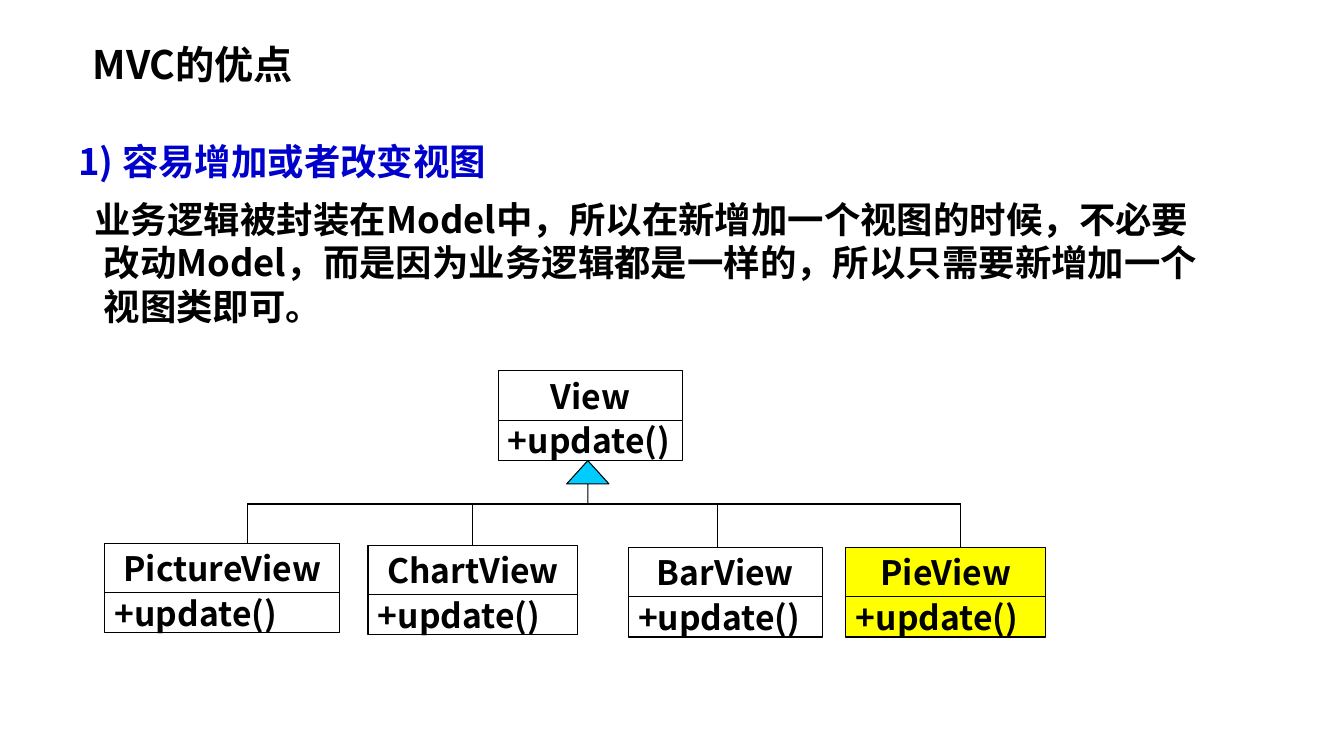
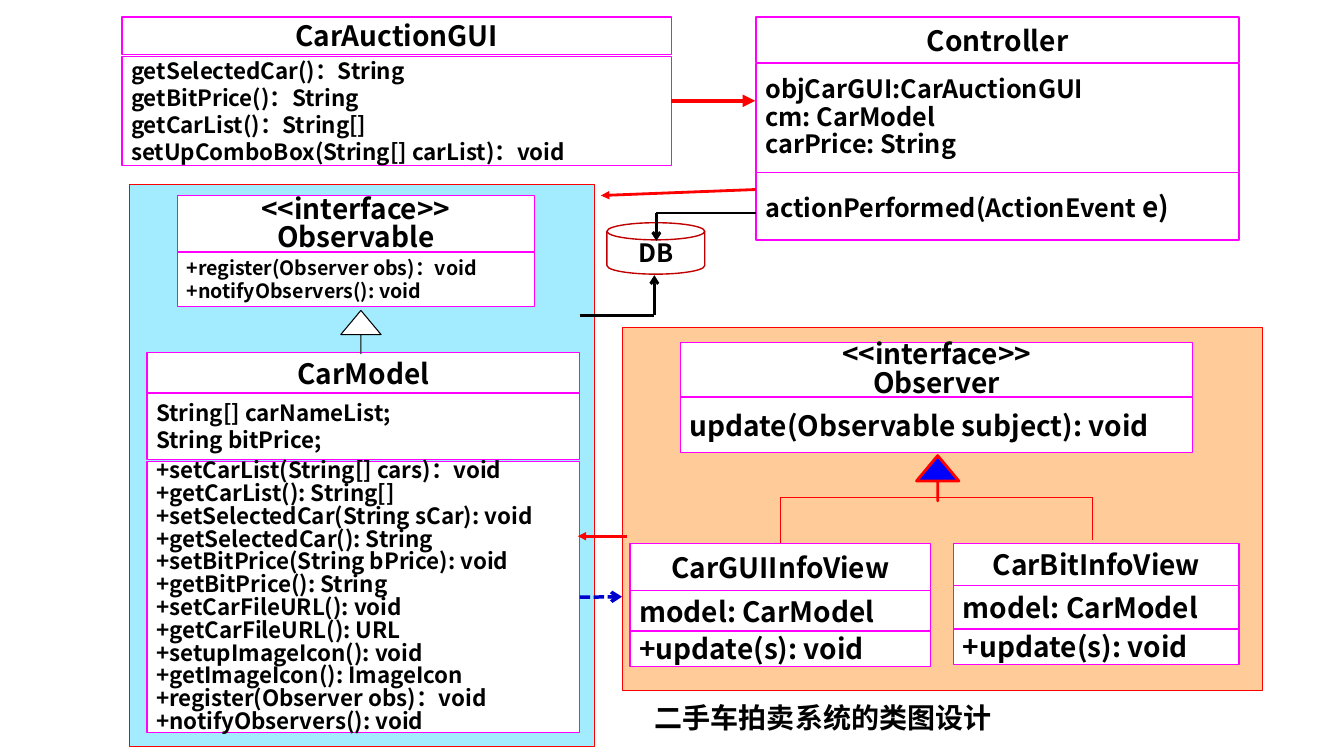
from pptx import Presentation
from pptx.dml.color import RGBColor
from pptx.enum.dml import MSO_LINE
from pptx.enum.shapes import MSO_CONNECTOR, MSO_SHAPE
from pptx.enum.text import MSO_ANCHOR as ANCHOR, MSO_AUTO_SIZE, PP_ALIGN as ALIGN
from pptx.oxml.ns import qn
from pptx.util import Inches, Pt
from lxml.etree import SubElement

BLACK = RGBColor(0x00, 0x00, 0x00)
WHITE = RGBColor(0xFF, 0xFF, 0xFF)
HEADING = RGBColor(0x00, 0x00, 0xCC)
CYAN = RGBColor(0x00, 0xCC, 0xFF)
YELLOW = RGBColor(0xFF, 0xFF, 0x00)
ORANGE = RGBColor(0xFF, 0xCC, 0x99)
RED = RGBColor(0xFF, 0x00, 0x00)
DARK_RED = RGBColor(0xC0, 0x00, 0x00)
MAGENTA = RGBColor(0xFF, 0x00, 0xFF)
BLUE = RGBColor(0x00, 0x00, 0xFF)
FONT = "Noto Sans CJK SC"
TITLE_ONLY, BLANK = 5, 6


class Deck:
    """Holds the style and the current slide, and draws each kind of element."""

    def __init__(self):
        self.prs = Presentation()
        self.prs.slide_width = Inches(13.33)
        self.prs.slide_height = Inches(7.5)

    def start(self, layout, edge, weight, inset):
        self.s = self.prs.slides.add_slide(self.prs.slide_layouts[layout])
        self.edge, self.weight, self.inset = edge, weight, inset

    def run(self, p, text, size, color=BLACK):
        r = p.add_run()
        r.text = text
        r.font.size, r.font.bold, r.font.name = Pt(size), True, FONT
        r.font.color.rgb = color
        SubElement(r.font._element, qn("a:ea")).set("typeface", FONT)

    def paragraphs(self, tf, lines, size, align=ALIGN.LEFT, spacing=None):
        for i, line in enumerate(lines):
            p = tf.add_paragraph() if i else tf.paragraphs[0]
            p.alignment = align
            p.line_spacing = spacing
            for text, run_size in [(line, size)] if isinstance(line, str) else line:
                self.run(p, text, run_size)

    def title(self, text, x, y, w, h):
        sp = self.s.shapes.title
        sp.left, sp.top, sp.width, sp.height = map(Inches, (x, y, w, h))
        sp.text_frame.vertical_anchor = ANCHOR.MIDDLE
        self.paragraphs(sp.text_frame, [text], 28, spacing=0.9)

    def body(self, heading, text, x, y, w, h):
        tf = self.s.shapes.add_textbox(*map(Inches, (x, y, w, h))).text_frame
        tf.word_wrap = True
        p = tf.paragraphs[0]
        self.run(p, heading, 26, HEADING)
        p = tf.add_paragraph()
        p.space_before = Pt(10)
        pPr = p._p.get_or_add_pPr()
        pPr.set("marL", str(Inches(0.25)))
        pPr.set("indent", str(Inches(-0.09)))
        self.run(p, text, 26)

    def shape(self, kind, x, y, w, h, fill, edge, weight=0.75, alpha=None):
        sp = self.s.shapes.add_shape(kind, *map(Inches, (x, y, w, h)))
        sp.shadow.inherit = False
        sp.fill.solid()
        sp.fill.fore_color.rgb = fill
        if alpha:
            color = sp._element.spPr.find(qn("a:solidFill"))[0]
            SubElement(color, qn("a:alpha")).set("val", str(alpha * 1000))
        if edge is None:
            sp.line.fill.background()
        else:
            sp.line.color.rgb = edge
            sp.line.width = Pt(weight)
        return sp

    def box(self, x, y, w, h, lines, size, align=ALIGN.LEFT, spacing=None, fill=WHITE):
        sp = self.shape(MSO_SHAPE.RECTANGLE, x, y, w, h, fill, self.edge, self.weight)
        tf = sp.text_frame
        tf.word_wrap, tf.vertical_anchor = True, ANCHOR.MIDDLE
        tf.margin_left = tf.margin_right = Inches(self.inset)
        tf.margin_top = tf.margin_bottom = Inches(self.inset - 0.05)
        self.paragraphs(tf, lines, size, align, spacing)
        return sp

    def class_box(self, x, w, name, *sections, size=20, fill=WHITE):
        top, height, lines = name
        spacing = 0.85 if len(lines) > 1 else None
        parts = [self.box(x, top, w, height, lines, size, ALIGN.CENTER, spacing, fill)]
        for top, height, lines, size, *spacing in sections:
            parts.append(self.box(x, top, w, height, lines, size, ALIGN.LEFT, *spacing, fill=fill))
        return parts

    def inherit_arrow(self, x, y, w, h, head, fill, edge=BLACK, weight=0.75):
        sp = self.shape(MSO_SHAPE.UP_ARROW, x, y, w, h, fill, edge, weight)
        sp.adjustments[0], sp.adjustments[1] = 0, head

    def disk(self, x, y, w, h, text):
        sp = self.shape(MSO_SHAPE.FLOWCHART_MAGNETIC_DISK, x, y, w, h, WHITE, DARK_RED, 1)
        sp.text_frame.vertical_anchor = ANCHOR.MIDDLE
        self.paragraphs(sp.text_frame, [text], 18, ALIGN.CENTER)

    def caption(self, x, y, w, h, text):
        sp = self.shape(MSO_SHAPE.RECTANGLE, x, y, w, h, WHITE, None)
        sp.text_frame.word_wrap = True
        sp.text_frame.auto_size = MSO_AUTO_SIZE.SHAPE_TO_FIT_TEXT
        sp.text_frame.vertical_anchor = ANCHOR.MIDDLE
        self.paragraphs(sp.text_frame, [text], 20, ALIGN.CENTER)

    def line(self, x1, y1, x2, y2, color=BLACK, weight=0.75, arrow=None, dash=None):
        ends = map(Inches, (x1, y1, x2, y2))
        sp = self.s.shapes.add_connector(MSO_CONNECTOR.STRAIGHT, *ends)
        sp.line.color.rgb = color
        sp.line.width = Pt(weight)
        if dash:
            sp.line.dash_style = dash
        spPr = sp._element.spPr
        if arrow:
            SubElement(spPr.find(qn("a:ln")), qn("a:tailEnd")).set("type", arrow)
        SubElement(spPr, qn("a:effectLst"))
        return sp


def advantages(deck):
    """Shows how views are added under one parent class."""
    deck.start(TITLE_ONLY, BLACK, 0.75, 0.1)
    deck.title("MVC的优点", 0.82, 0.33, 3.26, 0.67)
    deck.body(
        "1) 容易增加或者改变视图",
        "业务逻辑被封装在Model中，所以在新增加一个视图的时候，不必要改动Model，"
        "而是因为业务逻辑都是一样的，所以只需要新增加一个视图类即可。",
        0.68, 1.33, 11.5, 2.05)
    bus = 5
    deck.line(2.45, bus, 9.53, bus)
    deck.inherit_arrow(5.62, 4.57, 0.42, 0.43, 0.55, CYAN)
    views = [
        ("View", 4.94, 3.68, 1.83, None, WHITE),
        ("PictureView", 1.04, 5.39, 2.33, 2.45, WHITE),
        ("ChartView", 3.65, 5.41, 2.08, 4.69, WHITE),
        ("BarView", 6.23, 5.43, 1.93, 7.12, WHITE),
        ("PieView", 8.39, 5.43, 1.98, 9.53, YELLOW),
    ]
    for name, x, y, w, drop, fill in views:
        parts = deck.class_box(x, w, (y, 0.5, [name]),
                               (y + 0.49, 0.4, ["+update()"], 24), size=24, fill=fill)
        if drop:
            branch = deck.line(drop, bus, drop, y)
            if name == "ChartView":
                branch.end_connect(parts[0], 0)


def class_diagram(deck):
    """Shows the class diagram of the car auction system."""
    deck.start(BLANK, MAGENTA, 1, 0.09)
    deck.shape(MSO_SHAPE.RECTANGLE, 6.17, 3.25, 6.35, 3.6, ORANGE, RED)
    deck.shape(MSO_SHAPE.RECTANGLE, 1.28, 1.83, 4.62, 5.58, CYAN, RED, alpha=36)

    deck.class_box(
        1.21, 5.45, (0.17, 0.37, ["CarAuctionGUI"]),
        (0.56, 1.08, ["getSelectedCar()：String", "getBitPrice()：String",
                      "getCarList()：String[]",
                      "setUpComboBox(String[] carList)：void"], 16))
    model = deck.class_box(
        1.46, 4.29, (3.5, 0.4, ["CarModel"]),
        (3.9, 0.66, ["String[] carNameList;", "String bitPrice;"], 16),
        (4.58, 2.69, ["+setCarList(String[] cars)：void", "+getCarList(): String[]",
                      "+setSelectedCar(String sCar): void", "+getSelectedCar(): String",
                      "+setBitPrice(String bPrice): void", "+getBitPrice(): String",
                      "+setCarFileURL(): void", "+getCarFileURL(): URL",
                      "+setupImageIcon(): void", "+getImageIcon(): ImageIcon",
                      "+register(Observer obs)：void", "+notifyObservers(): void"], 16, 0.85))
    gui_view, bit_view = [
        deck.class_box(x, w, (5.39, field - 5.39, [name]),
                       (field, method - field, ["model: CarModel"], 20),
                       (method, 0.35, ["+update(s): void"], 20))
        for name, x, w, field, method in [("CarGUIInfoView", 6.25, 2.98, 5.86, 6.26),
                                          ("CarBitInfoView", 9.46, 2.83, 5.81, 6.24)]]
    deck.class_box(
        7.5, 4.79, (0.17, 0.45, ["Controller"]),
        (0.63, 1.08, ["objCarGUI:CarAuctionGUI", "cm: CarModel", "carPrice: String"], 18, 0.9),
        (1.71, 0.67, [[("actionPerformed(ActionEvent", 18), (" e)", 20)]], 18))
    deck.class_box(
        1.76, 3.54, (1.94, 0.58, ["<<interface>>", "Observable"]),
        (2.5, 0.54, ["+register(Observer obs)：void", "+notifyObservers(): void"], 14))
    deck.class_box(
        6.75, 5.08, (3.4, 0.55, ["<<interface>>", "Observer"]),
        (3.94, 0.55, ["update(Observable subject): void"], 20))

    deck.inherit_arrow(3.38, 3.08, 0.4, 0.43, 0.6, WHITE)
    deck.inherit_arrow(9.09, 4.52, 0.42, 0.45, 0.6, BLUE, RED, 2)
    deck.line(7.74, 4.94, 10.84, 4.94, RED)
    deck.line(7.74, 4.94, 7.74, 5.39, RED).end_connect(gui_view[0], 0)
    deck.line(10.84, 4.94, 10.84, 5.36, RED)

    deck.line(6.66, 1, 7.49, 1, RED, 3, "triangle")
    deck.line(7.5, 1.88, 5.96, 1.94, RED, 2, "triangle")
    deck.line(6.22, 5.32, 5.73, 5.32, RED, 2, "triangle")
    notify = deck.line(5.75, 5.92, 6.17, 5.92, HEADING, 2.5, "arrow", MSO_LINE.SQUARE_DOT)
    notify.begin_connect(model[2], 3)

    deck.disk(6.02, 2.21, 0.97, 0.51, "DB")
    deck.line(5.75, 3.13, 6.49, 3.13, weight=1.5)
    deck.line(6.49, 3.13, 6.49, 2.73, weight=2, arrow="arrow")
    deck.line(7.5, 2.11, 6.51, 2.11, weight=1.5)
    deck.line(6.51, 2.11, 6.51, 2.39, weight=2, arrow="arrow")
    deck.caption(6.33, 6.9, 3.67, 0.44, "二手车拍卖系统的类图设计")


def main():
    """Builds both slides and saves them."""
    deck = Deck()
    advantages(deck)
    class_diagram(deck)
    deck.prs.save("out.pptx")


if __name__ == "__main__":
    main()
